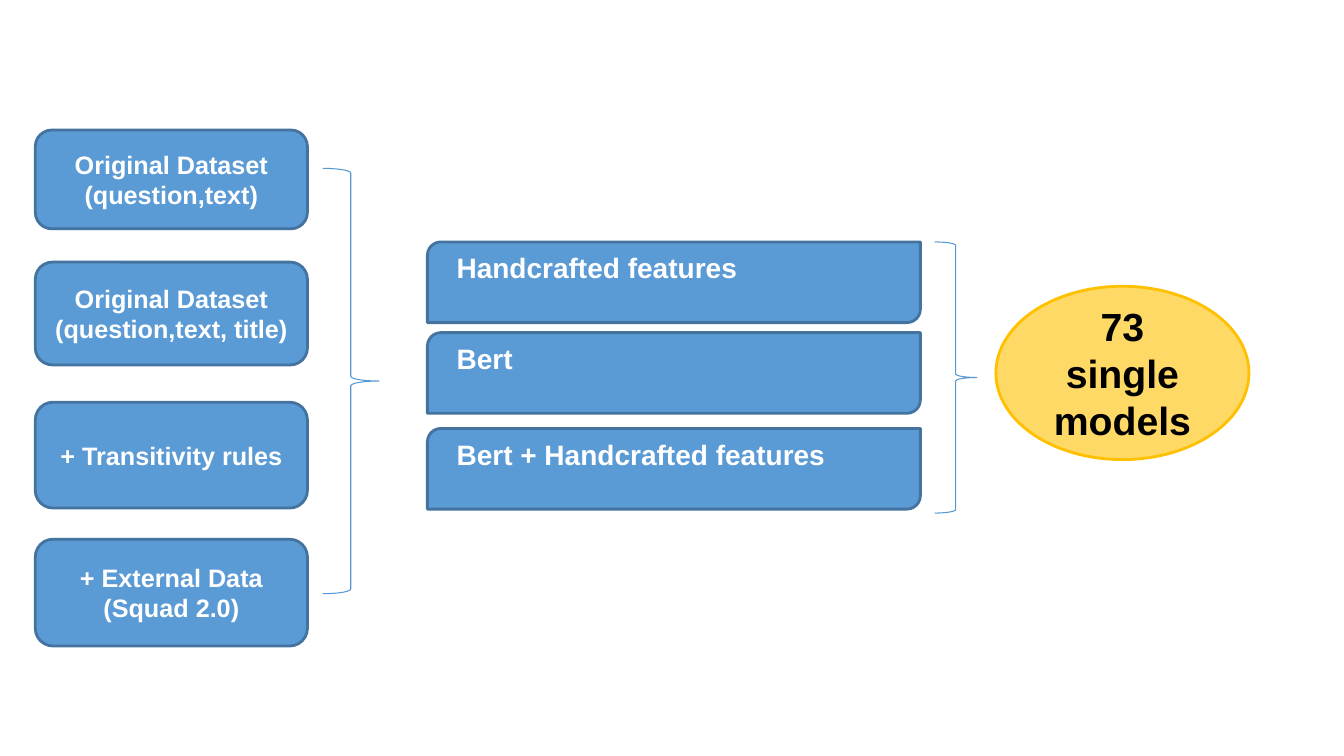
from pptx import Presentation
from pptx.dml.color import RGBColor
from pptx.enum.shapes import MSO_SHAPE
from pptx.enum.text import MSO_ANCHOR, PP_ALIGN
from pptx.util import Inches, Pt

BLUE = RGBColor(0x5B, 0x9B, 0xD5)
DARK_BLUE = RGBColor(0x43, 0x73, 0x9E)
BRACE_BLUE = RGBColor(0x56, 0x98, 0xD3)
YELLOW = RGBColor(0xFF, 0xD9, 0x66)
GOLD = RGBColor(0xFF, 0xC0, 0x00)
WHITE = RGBColor(0xFF, 0xFF, 0xFF)
BLACK = RGBColor(0x00, 0x00, 0x00)

presentation = Presentation()
presentation.slide_width = Inches(13.33)
presentation.slide_height = Inches(7.5)
slide = presentation.slides.add_slide(presentation.slide_layouts[6])

# The slide is a grid of 100 columns by 100 rows.
COLUMN = presentation.slide_width / 100
ROW = presentation.slide_height / 100


def add_outline(kind, left, top, width, height, line_color, line_width):
    """Add an unfilled shape placed in grid columns and rows."""
    shape = slide.shapes.add_shape(
        kind, round(left * COLUMN), round(top * ROW),
        round(width * COLUMN), round(height * ROW))
    shape.shadow.inherit = False
    shape.fill.background()
    shape.line.color.rgb = line_color
    shape.line.width = Pt(line_width)
    return shape


def fill_with_text(shape, fill_color, text, size, color, alignment):
    shape.fill.solid()
    shape.fill.fore_color.rgb = fill_color
    text_frame = shape.text_frame
    text_frame.word_wrap = True
    text_frame.vertical_anchor = MSO_ANCHOR.MIDDLE
    text_frame.text = text
    for paragraph in text_frame.paragraphs:
        paragraph.alignment = alignment
        for run in paragraph.runs:
            run.font.name = "Arial"
            run.font.size = Pt(size)
            run.font.bold = True
            run.font.color.rgb = color


datasets = [
    (17.2, 13.07, "Original Dataset (question,text)"),
    (34.67, 13.6, "Original Dataset (question,text, title)"),
    (53.2, 14, "+ Transitivity rules"),
    (71.33, 14.13, "+ External Data\n(Squad 2.0)"),
]
for top, height, text in datasets:
    dataset = add_outline(MSO_SHAPE.ROUNDED_RECTANGLE, 2.63, top, 20.25, height, DARK_BLUE, 2)
    fill_with_text(dataset, BLUE, text, 18, WHITE, PP_ALIGN.CENTER)

models = [
    (32, "Handcrafted features"),
    (44, "Bert"),
    (56.67, "Bert + Handcrafted features"),
]
for top, text in models:
    model = add_outline(MSO_SHAPE.ROUND_2_DIAG_RECTANGLE, 31.8, top, 36.68, 10.67, DARK_BLUE, 2)
    fill_with_text(model, BLUE, text, 20, WHITE, PP_ALIGN.LEFT)
    model.text_frame.vertical_anchor = MSO_ANCHOR.TOP
    model.text_frame.margin_left = Inches(0.25)

total = add_outline(MSO_SHAPE.OVAL, 74.1, 37.87, 18.83, 22.93, GOLD, 2)
fill_with_text(total, YELLOW, "73 single models", 28, BLACK, PP_ALIGN.CENTER)

braces = [(24, 22.27, 4.2, 56.27), (69.53, 32, 3.15, 35.87)]
for left, top, width, height in braces:
    add_outline(MSO_SHAPE.RIGHT_BRACE, left, top, width, height, BRACE_BLUE, 0.75)

presentation.save("out.pptx")
